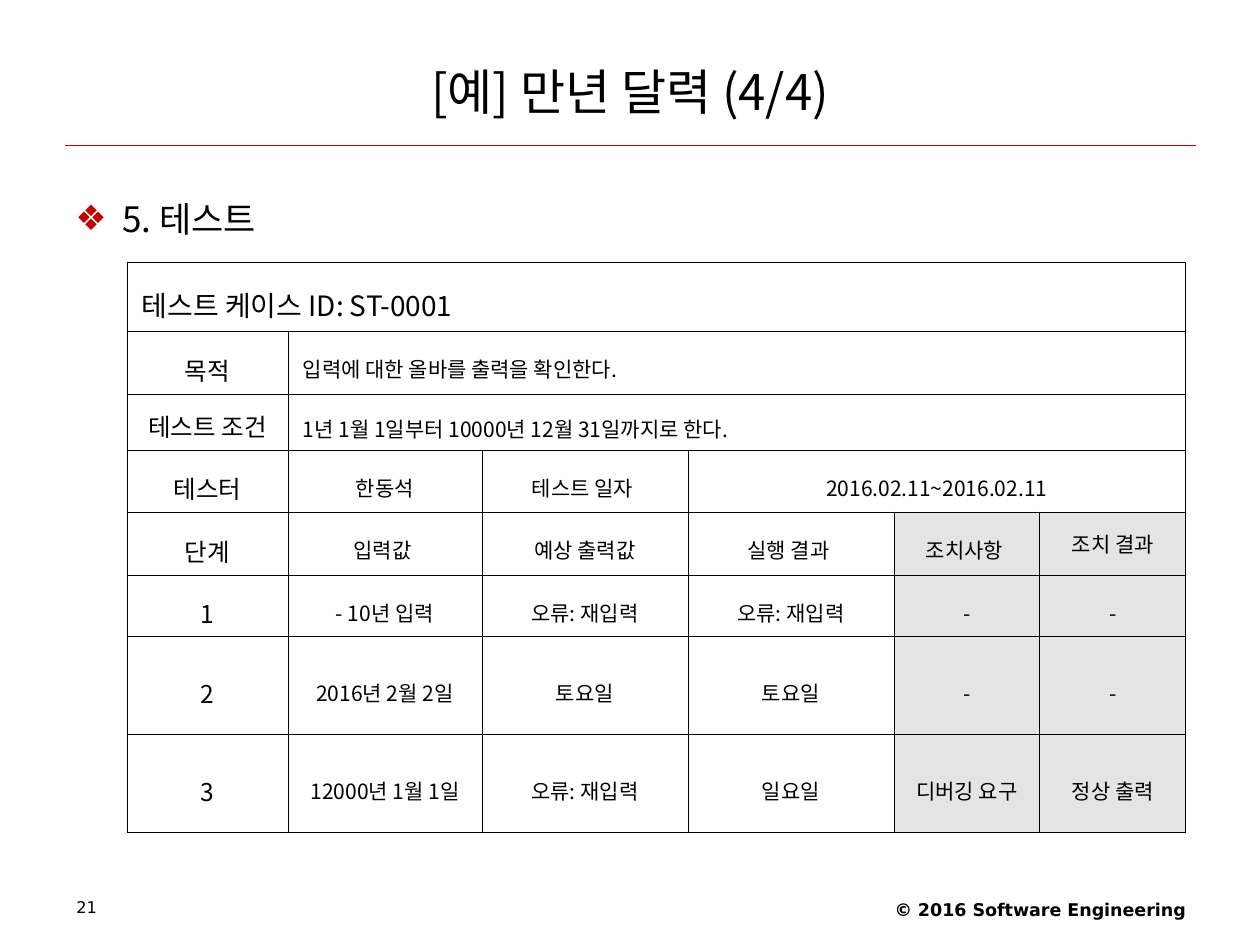
from dataclasses import dataclass

from lxml import etree
from pptx import Presentation
from pptx.dml.color import RGBColor
from pptx.enum.shapes import MSO_CONNECTOR
from pptx.enum.text import MSO_ANCHOR, MSO_AUTO_SIZE, PP_ALIGN
from pptx.oxml.ns import qn
from pptx.util import Pt

LEFT, CENTER, RIGHT = PP_ALIGN.LEFT, PP_ALIGN.CENTER, PP_ALIGN.RIGHT
MIDDLE = MSO_ANCHOR.MIDDLE
STRAIGHT = MSO_CONNECTOR.STRAIGHT
NO_AUTOFIT = MSO_AUTO_SIZE.NONE
SCALE = 914400 / 126


@dataclass(frozen=True)
class Theme:
    font: str = "Noto Sans CJK KR"
    footer_font: str = "DejaVu Sans"
    black: str = "000000"
    red: str = "C40000"
    gray: str = "E4E4E4"
    title: float = 28
    heading: float = 20
    case_id: float = 16
    label: float = 14
    value: float = 12
    copyright: float = 10
    page: float = 9.2
    rule_line: float = 0.5
    table_line: float = 0.45


theme = Theme()


def px(*lengths):
    """Turn px lengths into a list of EMU."""
    return [round(length * SCALE) for length in lengths]


def write(frame, text, size, font_name=theme.font, align=LEFT, spacing=1.0, before=0):
    """Fill a text frame with one styled, unkerned paragraph and return it."""
    frame.word_wrap = True
    paragraph = frame.paragraphs[0]
    paragraph.text = text
    paragraph.alignment = align
    paragraph.line_spacing = spacing
    paragraph.space_before = Pt(before)
    font = paragraph.font
    font.size = Pt(size)
    font.name = font_name
    font.color.rgb = RGBColor.from_string(theme.black)
    properties = paragraph._p.pPr.find(qn("a:defRPr"))
    properties.set("kern", "0")
    etree.SubElement(properties, qn("a:ea"), typeface=font_name)
    return paragraph


presentation = Presentation()
presentation.slide_width, presentation.slide_height = px(1260, 945)
slide = presentation.slides.add_slide(presentation.slide_layouts[5])

# Title and rule
title = slide.shapes.title
title.left, title.top, title.width, title.height = px(63, 37, 1134, 107)
title.text_frame.auto_size = NO_AUTOFIT
title.text_frame.vertical_anchor = MIDDLE
write(title.text_frame, "[예] 만년 달력 (4/4)", theme.title, align=CENTER)

rule = slide.shapes.add_connector(STRAIGHT, *px(65, 145, 1196, 145))
rule.line.color.rgb = RGBColor.from_string(theme.red)
rule.line.width = Pt(theme.rule_line)
etree.SubElement(rule._element.spPr, qn("a:effectLst"))

# Heading with a diamond bullet
heading = slide.shapes.add_textbox(*px(63, 174, 1134, 80))
paragraph = write(heading.text_frame, "5. 테스트", theme.heading, spacing=1.4, before=5)
properties = paragraph._p.pPr
indent, = px(47)
properties.set("marL", str(indent))
properties.set("indent", str(-indent))
bullet_color = etree.Element(qn("a:buClr"))
etree.SubElement(bullet_color, qn("a:srgbClr"), val=theme.red)
bullet_font = etree.Element(qn("a:buFont"), typeface=theme.footer_font)
bullet = etree.Element(qn("a:buChar"), char="❖")
for element in (bullet_color, bullet_font, bullet):
    properties.find(qn("a:defRPr")).addprevious(element)

# Test case table: None continues the cell to its left
rows = [
    ["테스트 케이스 ID: ST-0001", None, None, None, None, None],
    ["목적", "입력에 대한 올바를 출력을 확인한다.", None, None, None, None],
    ["테스트 조건", "1년 1월 1일부터 10000년 12월 31일까지로 한다.", None, None, None, None],
    ["테스터", "한동석", "테스트 일자 ", "2016.02.11~2016.02.11", None, None],
    ["단계", "입력값 ", "예상 출력값", "실행 결과 ", "조치사항 ", "조치 결과"],
    ["1", "- 10년 입력", "오류: 재입력", "오류: 재입력", "-", "-"],
    ["2", "2016년 2월 2일", "토요일", "토요일", "-", "-"],
    ["3", "12000년 1월 1일", "오류: 재입력", "일요일", "디버깅 요구", "정상 출력"],
]
column_widths = [161, 194, 206, 206, 146, 146]
row_heights = [69, 63, 56, 62, 63, 62, 98, 98]
special_spacing = {(2, 0): 1.2, (4, 5): 1.0}
last_column = len(column_widths) - 1
step_row, action_column = 4, 4

table = slide.shapes.add_table(
    len(rows), len(column_widths),
    *px(127, 262, sum(column_widths), sum(row_heights))).table
table.first_row = table.horz_banding = False
for column, width in zip(table.columns, px(*column_widths)):
    column.width = width
for row, height in zip(table.rows, px(*row_heights)):
    row.height = height

for r, texts in enumerate(rows):
    for c, text in enumerate(texts):
        cell = table.cell(r, c)
        cell.vertical_anchor = MIDDLE
        cell.margin_left, cell.margin_right, cell.margin_top, cell.margin_bottom = px(15, 15, 6, 6)
        for side in ("lnL", "lnR", "lnT", "lnB"):
            border = etree.SubElement(cell._tc.get_or_add_tcPr(), qn(f"a:{side}"),
                                      w=str(Pt(theme.table_line)))
            fill = etree.SubElement(border, qn("a:solidFill"))
            etree.SubElement(fill, qn("a:srgbClr"), val=theme.black)
        if r >= step_row and c >= action_column:
            cell.fill.solid()
            cell.fill.fore_color.rgb = RGBColor.from_string(theme.gray)
        else:
            cell.fill.background()
        if text is None:
            continue
        span = 1
        while c + span <= last_column and texts[c + span] is None:
            span += 1
        if span > 1:
            cell.merge(table.cell(r, c + span - 1))
        size = theme.case_id if r == 0 else theme.label if c == 0 else theme.value
        write(cell.text_frame, text, size,
              align=LEFT if span >= 5 else CENTER,
              spacing=special_spacing.get((r, c), 1.4), before=size / 4)

# Footer
page = slide.shapes.add_textbox(*px(64, 893, 294, 35))
write(page.text_frame, "21", theme.page, theme.footer_font, spacing=0.9)
notice = slide.shapes.add_textbox(*px(799, 893, 399, 37))
paragraph = write(notice.text_frame, "© 2016 Software Engineering",
                  theme.copyright, theme.footer_font, RIGHT)
paragraph.font.bold = True

presentation.save("out.pptx")
